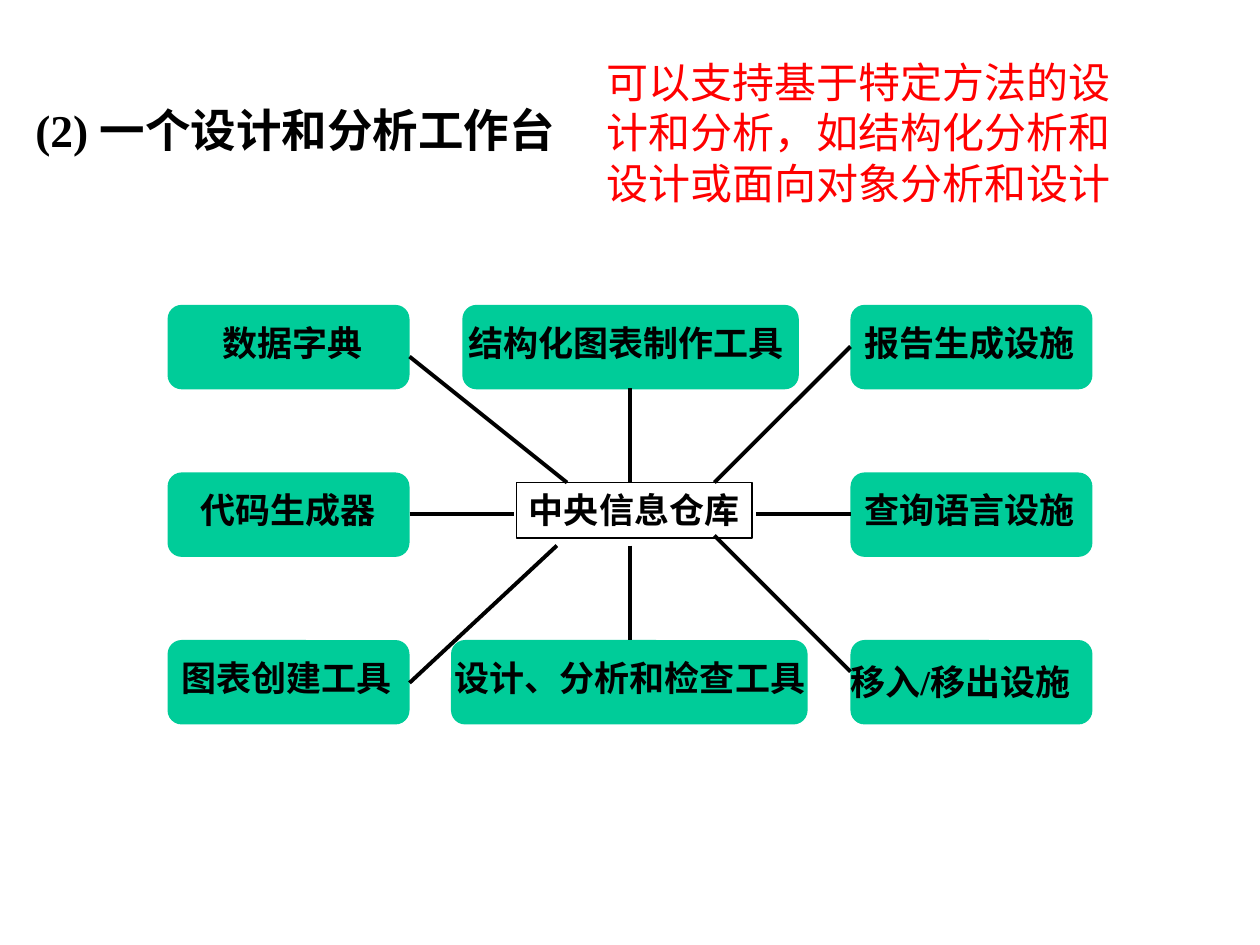
"""Build a slide showing the tools around a central repository in a design and analysis workbench."""
from dataclasses import dataclass

import pptx
import pptx.dml.color
import pptx.enum.shapes
import pptx.enum.text
import pptx.oxml.ns
import pptx.shapes.base
import pptx.slide
import pptx.util
from lxml import etree

Inches = pptx.util.Inches
Color = pptx.dml.color.RGBColor
Shape = pptx.enum.shapes.MSO_SHAPE
Align = pptx.enum.text.PP_ALIGN


@dataclass(frozen=True)
class Theme:
    ink: Color = Color(0x00, 0x00, 0x00)
    node: Color = Color(0x00, 0xCC, 0x99)
    accent: Color = Color(0xFF, 0x00, 0x00)
    serif: str = "Times New Roman"
    sans: str = "Noto Sans CJK SC"
    title_size: float = 26
    note_size: float = 24
    label_size: float = 20
    outline: float = 1
    spoke: float = 2.25


@dataclass(frozen=True)
class Frame:
    left: float
    top: float
    width: float
    height: float


@dataclass(frozen=True)
class Tool:
    label: str
    left: float
    row: int
    width: float
    label_left: float
    label_width: float
    label_drop: float = 0.08


@dataclass(frozen=True)
class Spoke:
    start: tuple[float, float]
    end: tuple[float, float]


THEME = Theme()
ROW_TOPS = (2.42, 3.75, 5.08)
NODE_HEIGHT = 0.67
LABEL_HEIGHT = 0.44
LEFT, RIGHT, SIDE_WIDTH = 1.33, 6.75, 1.92

TOOLS = (
    Tool("报告生成设施", RIGHT, 0, SIDE_WIDTH, 6.76, 1.88),
    Tool("查询语言设施", RIGHT, 1, SIDE_WIDTH, 6.76, 1.88),
    Tool("移入/移出设施", RIGHT, 2, SIDE_WIDTH, 6.65, 2.1, 0.11),
    Tool("数据字典", LEFT, 0, SIDE_WIDTH, 1.67, 1.32),
    Tool("代码生成器", LEFT, 1, SIDE_WIDTH, 1.49, 1.6),
    Tool("图表创建工具", LEFT, 2, SIDE_WIDTH, 1.34, 1.88),
    Tool("结构化图表制作工具", 3.67, 0, 2.67, 3.62, 2.75),
    Tool("设计、分析和检查工具", 3.58, 2, 2.83, 3.51, 3),
)

SPOKES = (
    Spoke((3.25, 2.83), (4.5, 3.83)),
    Spoke((3.25, 5.42), (4.42, 4.33)),
    Spoke((3.25, 4.08), (4.08, 4.08)),
    Spoke((6, 4.08), (6.75, 4.08)),
    Spoke((5.67, 3.83), (6.75, 2.75)),
    Spoke((5.67, 4.25), (6.75, 5.33)),
    Spoke((5, 3.08), (5, 3.83)),
    Spoke((5, 4.33), (5, 5.08)),
)


def place(frame: Frame) -> tuple[int, int, int, int]:
    """Convert a frame to slide lengths."""
    return Inches(frame.left), Inches(frame.top), Inches(frame.width), Inches(frame.height)


def write(box: pptx.shapes.base.BaseShape, text: str, size: float, font: str = THEME.serif,
          color: Color = THEME.ink, bold: bool = True, wrap: bool = False,
          align: Align = Align.LEFT) -> None:
    """Write one formatted paragraph into a box."""
    frame = box.text_frame
    frame.text = text
    frame.word_wrap = wrap
    frame.auto_size = pptx.enum.text.MSO_AUTO_SIZE.SHAPE_TO_FIT_TEXT
    frame.vertical_anchor = pptx.enum.text.MSO_ANCHOR.TOP
    para = frame.paragraphs[0]
    para.alignment = align
    for span in para.runs:
        span.font.name = font
        span.font.size = pptx.util.Pt(size)
        span.font.bold = bold
        span.font.color.rgb = color


def draw_title(page: pptx.slide.Slide, text: str, frame: Frame) -> None:
    """Move the title placeholder and fill it."""
    title = page.shapes.title
    title.left, title.top, title.width, title.height = place(frame)
    write(title, text, THEME.title_size)


def draw_tool(page: pptx.slide.Slide, tool: Tool) -> None:
    """Draw a rounded node and its label."""
    top = ROW_TOPS[tool.row]
    node = page.shapes.add_shape(Shape.FLOWCHART_ALTERNATE_PROCESS,
                                 *place(Frame(tool.left, top, tool.width, NODE_HEIGHT)))
    node.shadow.inherit = False
    node.fill.solid()
    node.fill.fore_color.rgb = THEME.node
    node.line.fill.background()
    label = page.shapes.add_textbox(
        *place(Frame(tool.label_left, top + tool.label_drop, tool.label_width, LABEL_HEIGHT)))
    write(label, tool.label, THEME.label_size)


def draw_repository(page: pptx.slide.Slide, text: str, frame: Frame) -> None:
    """Draw the outlined box at the hub."""
    hub = page.shapes.add_shape(Shape.RECTANGLE, *place(frame))
    hub.shadow.inherit = False
    hub.fill.background()
    hub.line.color.rgb = THEME.ink
    hub.line.width = pptx.util.Pt(THEME.outline)
    write(hub, text, THEME.label_size)


def draw_spoke(page: pptx.slide.Slide, spoke: Spoke) -> None:
    """Draw a plain line between a node and the hub."""
    line = page.shapes.add_connector(pptx.enum.shapes.MSO_CONNECTOR.STRAIGHT,
                                     *map(Inches, spoke.start + spoke.end))
    line.line.color.rgb = THEME.ink
    line.line.width = pptx.util.Pt(THEME.spoke)
    etree.SubElement(line._element.spPr, pptx.oxml.ns.qn("a:effectLst"))


def main() -> None:
    """Build and save the deck."""
    deck = pptx.Presentation()
    deck.slide_width, deck.slide_height = Inches(10), Inches(7.5)
    page = deck.slides.add_slide(deck.slide_layouts.get_by_name("Title Only"))
    draw_title(page, "(2) 一个设计和分析工作台", Frame(0.18, 0.76, 4.5, 0.54))
    draw_repository(page, "中央信息仓库", Frame(4.1, 3.83, 1.87, LABEL_HEIGHT))
    for tool in TOOLS:
        draw_tool(page, tool)
    for spoke in SPOKES:
        draw_spoke(page, spoke)
    note = page.shapes.add_textbox(*place(Frame(4.69, 0.4, 4.25, 1.3)))
    write(note, "可以支持基于特定方法的设计和分析，如结构化分析和设计或面向对象分析和设计",
          THEME.note_size, THEME.sans, THEME.accent, bold=False, wrap=True, align=Align.CENTER)
    deck.save("out.pptx")


if __name__ == "__main__":
    main()
